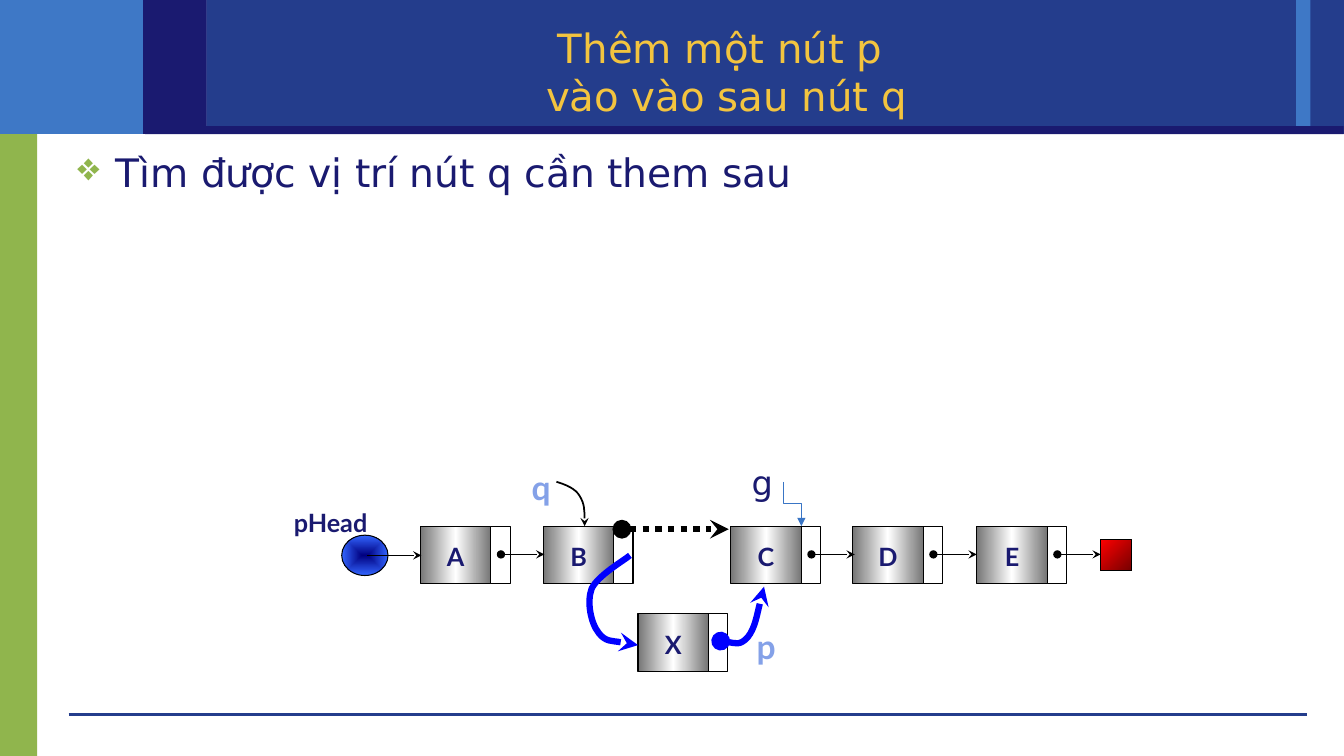
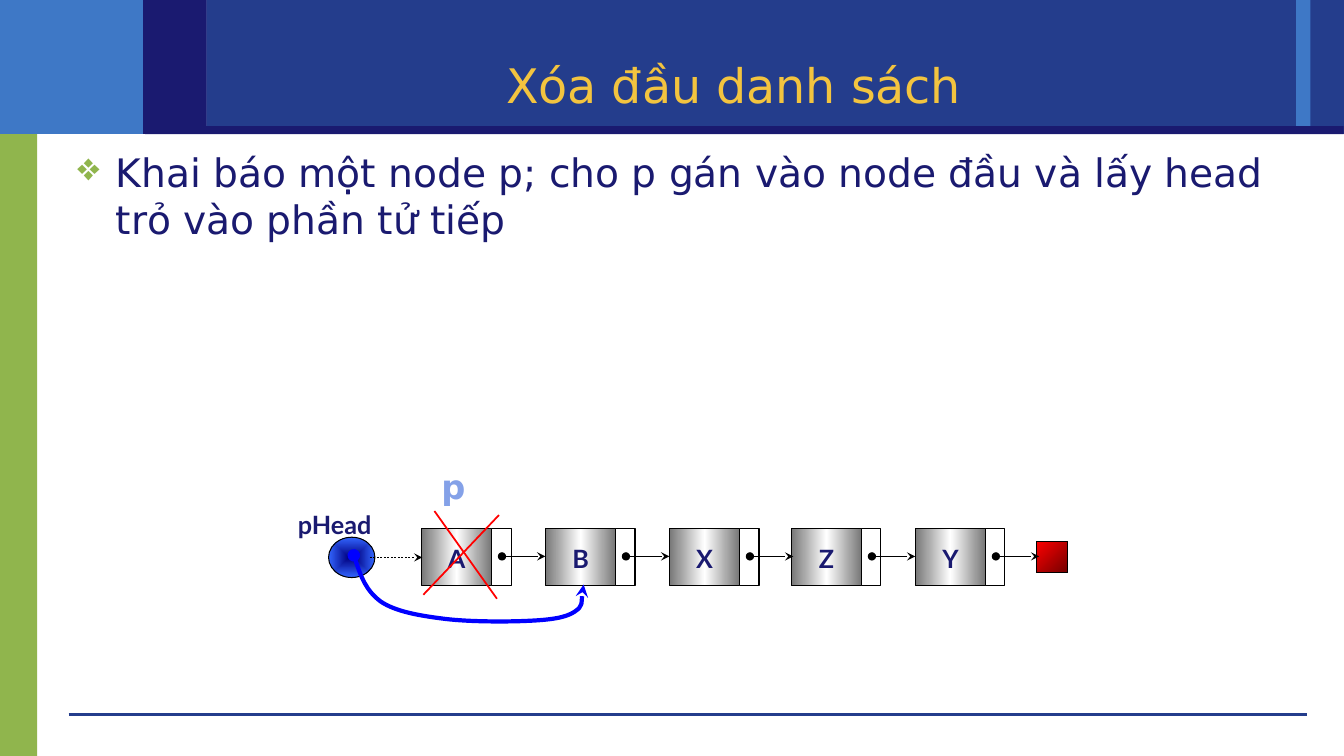
"""Build two slides on inserting into and deleting from a linked list."""
from pptx import Presentation, oxml
from pptx import util as u
from pptx.dml.color import RGBColor
from pptx.enum import dml, shapes, text
from pptx.oxml.ns import nsdecls, qn

PX = 9144
COLORS = {
    "green": "90B54D", "sky": "3E78C6", "royal": "243D8C", "navy": "1A1A70",
    "gold": "F3C43F", "pale": "84A1E8", "steel": "3975C5", "blue": "0000FF",
    "red": "FF0000", "black": "000000", "white": "FFFFFF",
}
GRADIENTS = {
    "metal": ([(0, "767676"), (50, "FFFFFF"), (100, "767676")], '<a:lin ang="0"/>'),
    "ruby": ([(0, "FF0000"), (100, "760000")], '<a:lin ang="2700000"/>'),
    "sphere": ([(0, "000080"), (100, "3366FF")],
               '<a:path path="shape"><a:fillToRect l="50000" t="50000" '
               'r="50000" b="50000"/></a:path>'),
}
BANDS = [
    ((0, 107, 37, 643), "green"),
    ((0, 0, 205, 133), "sky"),
    ((205, 0, 1129, 133), "royal"),
    ((1286, 0, 14, 125), "sky"),
    ((144, 125, 1189, 8), "navy"),
    ((142, 0, 63, 133), "navy"),
]
HEADING = {"name": "DejaVu Sans", "size": u.Pt(34)}
BODY = {"name": "DejaVu Sans", "size": u.Pt(28)}
POINTER = {"name": "DejaVu Sans", "size": u.Pt(24)}
NODE = {"name": "Lato", "size": u.Pt(18), "bold": True}
MARK = {"name": "Lato", "size": u.Pt(24), "bold": True}
FLUSH = {"margin_left": 0, "margin_right": 0, "margin_top": 0, "margin_bottom": 0}
DATA_WIDTH, LINK_WIDTH, NODE_HEIGHT = 70, 19, 57


def rgb(color):
    return RGBColor.from_string(COLORS[color])


def emu(lengths):
    return [round(length * PX) for length in lengths]


def assign(target, values):
    for name, value in values.items():
        setattr(target, name, value)


class Deck:
    def __init__(self):
        self.presentation = Presentation()
        assign(self.presentation, {"slide_width": 1333 * PX + PX // 3,
                                   "slide_height": 750 * PX})
        self.slide = None

    def start(self, title, title_box, body, title_size=34):
        layout = self.presentation.slide_layouts[6]
        self.slide = self.presentation.slides.add_slide(layout)
        for box, color in BANDS:
            self.shape(box, color, border=False)
        self.line((68, 709), (1297, 709), "royal", 0)
        self.label(title_box, title, {**HEADING, "size": u.Pt(title_size)}, "gold",
                   anchor="MIDDLE", align="CENTER")
        self.bullet((67, 142, 1200, 570), body)

    def fill_text(self, shape, content, font, color, margins, anchor, align):
        frame = shape.text_frame
        frame.text = content
        assign(frame, {"word_wrap": True, **margins,
                       "vertical_anchor": text.MSO_ANCHOR[anchor]})
        for paragraph in frame.paragraphs:
            paragraph.alignment = text.PP_ALIGN[align]
            for run in paragraph.runs:
                assign(run.font, font)
                run.font.color.rgb = rgb(color)

    def label(self, box, content, font, color, margins={}, anchor="TOP", align="LEFT"):
        shape = self.slide.shapes.add_textbox(*emu(box))
        self.fill_text(shape, content, font, color, margins, anchor, align)
        return shape

    def tag(self, box, content, font=MARK, color="pale"):
        self.label(box, content, font, color, FLUSH, "MIDDLE", "CENTER")

    def bullet(self, box, content):
        shape = self.label(box, content, BODY, "navy")
        properties = shape.text_frame.paragraphs[0]._p.get_or_add_pPr()
        properties.set("marL", str(38 * PX))
        properties.set("indent", str(-38 * PX))
        for markup in (
            f'<a:buClr {nsdecls("a")}><a:srgbClr val="{COLORS["green"]}"/></a:buClr>',
            f'<a:buChar {nsdecls("a")} char="❖"/>',
        ):
            properties.append(oxml.parse_xml(markup))

    def shape(self, box, fill, kind="RECTANGLE", border=True):
        shape = self.slide.shapes.add_shape(shapes.MSO_SHAPE[kind], *emu(box))
        shape.shadow.inherit = False
        if fill in GRADIENTS:
            self.gradient(shape, fill)
        else:
            shape.fill.solid()
            shape.fill.fore_color.rgb = rgb(fill)
        if border:
            self.stroke(shape, "black", 0.75)
        else:
            shape.line.fill.background()
        return shape

    def gradient(self, shape, name):
        stops, direction = GRADIENTS[name]
        marks = "".join(f'<a:gs pos="{position * 1000}"><a:srgbClr val="{color}"/></a:gs>'
                        for position, color in stops)
        shape.fill.gradient()
        properties = shape._element.spPr
        properties.replace(properties.find(qn("a:gradFill")), oxml.parse_xml(
            f'<a:gradFill {nsdecls("a")} rotWithShape="1">'
            f'<a:gsLst>{marks}</a:gsLst>{direction}</a:gradFill>'))

    def stroke(self, shape, color, width, head=None, tail=None, dotted=False):
        shape.line.color.rgb = rgb(color)
        shape.line.width = u.Pt(width)
        if dotted:
            shape.line.dash_style = dml.MSO_LINE.ROUND_DOT
        outline = shape._element.spPr.find(qn("a:ln"))
        for end, kind in (("headEnd", head), ("tailEnd", tail)):
            if kind:
                outline.append(oxml.parse_xml(
                    f'<a:{end} {nsdecls("a")} type="{kind}"/>'))

    def line(self, start, end, color="black", width=1.25, kind="STRAIGHT", **ends):
        connector = self.slide.shapes.add_connector(
            shapes.MSO_CONNECTOR[kind], *emu(start + end))
        self.stroke(connector, color, width, **ends)
        connector._element.spPr.append(
            oxml.parse_xml(f'<a:effectLst {nsdecls("a")}/>'))
        return connector

    def elbow(self, start, end):
        connector = self.line(start, end, "steel", 0.75, "ELBOW", tail="triangle")
        connector._element.spPr.find(qn("a:xfrm")).set("rot", str(270 * 60000))

    def curve(self, points, color="blue", width=4.5, **ends):
        builder = self.slide.shapes.build_freeform(*points[0], scale=PX)
        builder.add_line_segments(points[1:], close=False)
        shape = builder.convert_to_shape()
        shape.shadow.inherit = False
        shape.fill.background()
        self.stroke(shape, color, width, tail="stealth", **ends)
        steps = list(shape._element.iter(qn("a:lnTo")))
        outline = steps[0].getparent()
        for first in range(0, len(steps), 3):
            cubic = oxml.parse_xml(f'<a:cubicBezTo {nsdecls("a")}/>')
            outline.append(cubic)
            for step in steps[first:first + 3]:
                cubic.append(step[0])
                outline.remove(step)

    def node(self, left, top, name):
        self.shape((left + DATA_WIDTH, top, LINK_WIDTH, NODE_HEIGHT), "white")
        data = self.shape((left, top, DATA_WIDTH, NODE_HEIGHT), "metal")
        self.fill_text(data, name, NODE, "navy", {**FLUSH, "margin_top": 3 * PX},
                       "MIDDLE", "CENTER")

    def chain(self, top, nodes, head, label_left, nil, unlinked="", dotted_head=False):
        self.shape((head, top + 9, 46, 40), "sphere", "OVAL")
        self.shape((nil, top + 13, 31, 31), "ruby")
        for name, left in nodes.items():
            self.node(left, top, name)
        for name, left in nodes.items():
            if name not in unlinked:
                self.line((left + 80, top + 28), (left + 123, top + 28),
                          head="oval", tail="stealth")
        start = head + (41 if dotted_head else 25)
        self.line((start, top + 29), (nodes["A"] + 1, top + 29),
                  tail="stealth", dotted=dotted_head)
        self.tag((label_left, top - 25, 90, 42), "pHead", NODE, "navy")


def insert_after(deck):
    deck.start("Thêm một nút p \nvào vào sau nút q", (317, 25, 808, 92),
               "Tìm được vị trí nút q cần them sau", 28.8)
    deck.chain(522, {"A": 417, "B": 539, "C": 725, "D": 846, "E": 969},
               head=339, label_left=283, nil=1092, unlinked="B")
    deck.line((617, 525), (723, 525), width=4.5, head="oval", tail="stealth", dotted=True)
    deck.node(633, 609, "X")
    deck.curve([(625, 551), (619, 556), (593, 571), (587, 584), (582, 597),
                (586, 618), (594, 628), (601, 637), (625, 638), (633, 640)])
    deck.curve([(715, 636), (719, 636), (734, 641), (742, 632),
                (749, 623), (755, 593), (758, 582)], head="oval")
    deck.curve([(552, 478), (562, 481), (571, 485), (575, 492),
                (580, 500), (580, 511), (580, 522)], "black", 1.25)
    deck.tag((510, 459, 54, 48), "q")
    deck.tag((733, 617, 54, 48), "p")
    deck.label((736, 453, 80, 51), "g", POINTER, "navy")
    deck.elbow((808, 491), (764, 509))


def delete_first(deck):
    deck.start("Xóa đầu danh sách", (200, 51, 1056, 66),
               "Khai báo một node p; cho p gán vào node đầu và lấy head "
               "trỏ vào phần tử tiếp")
    deck.chain(524, {"A": 418, "B": 541, "X": 664, "Z": 785, "Y": 908},
               head=326, label_left=287, nil=1028, dotted_head=True)
    deck.curve([(351, 551), (357, 569), (363, 586), (378, 597), (393, 607),
                (417, 611), (441, 614), (465, 617), (503, 617), (524, 616),
                (546, 615), (561, 613), (570, 607), (579, 601), (577, 586),
                (579, 580)], width=3, head="oval")
    for start, end in (((431, 507), (493, 594)), ((495, 511), (420, 590))):
        deck.line(start, end, "red")
    deck.label((428, 457, 67, 50), "p", {**POINTER, "bold": True}, "pale")


def main():
    deck = Deck()
    insert_after(deck)
    delete_first(deck)
    deck.presentation.save("out.pptx")


if __name__ == "__main__":
    main()
